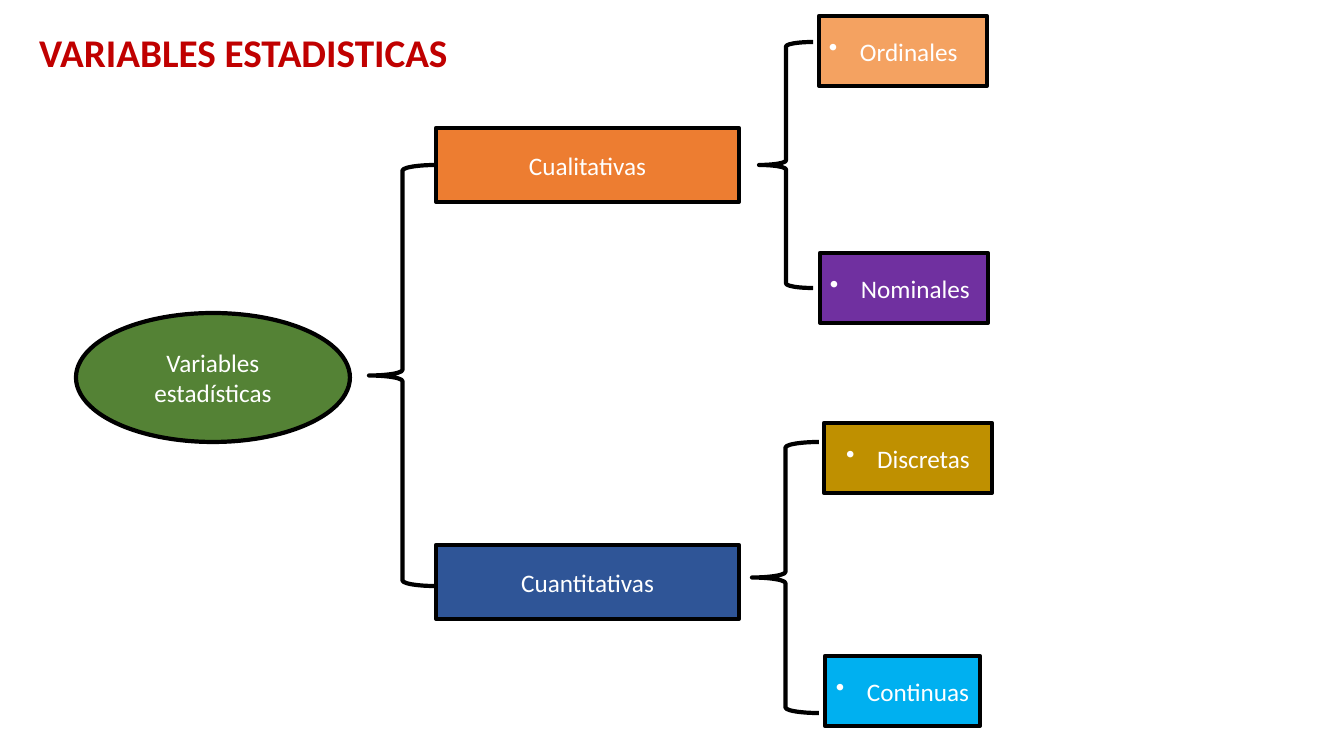
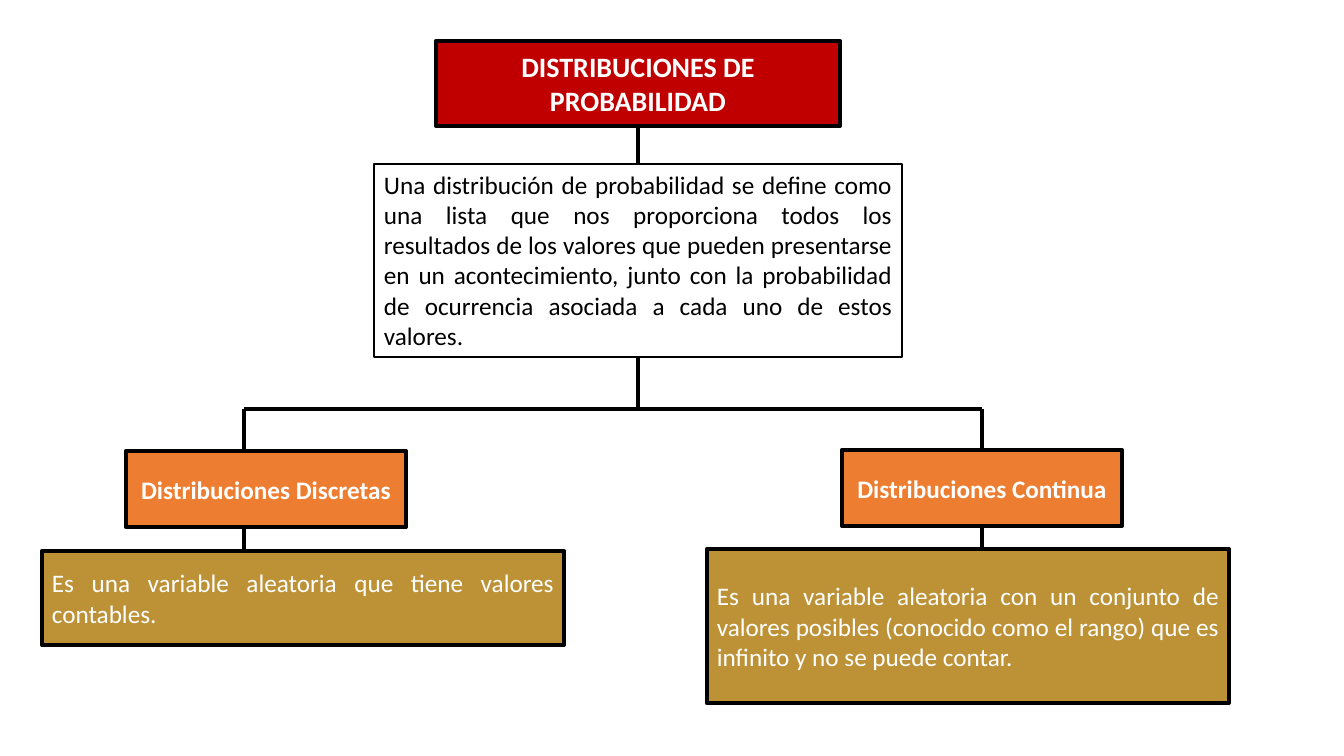
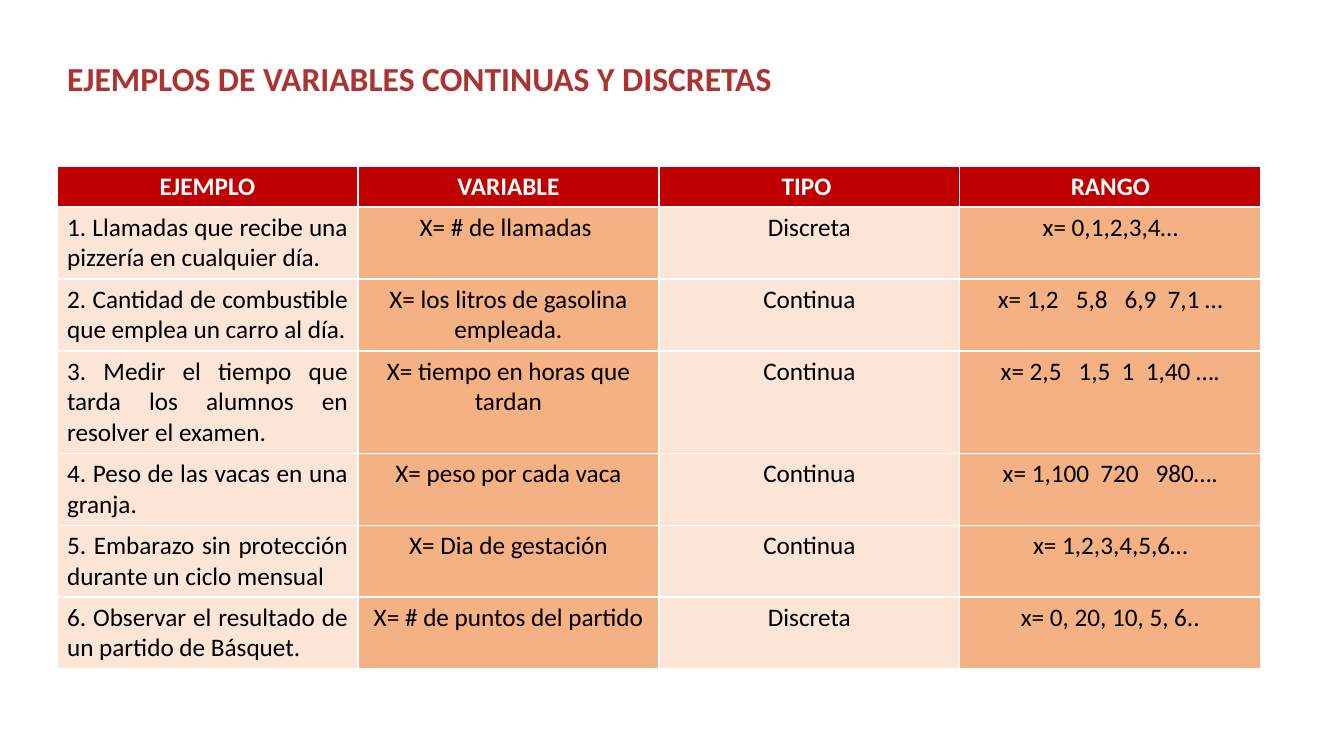
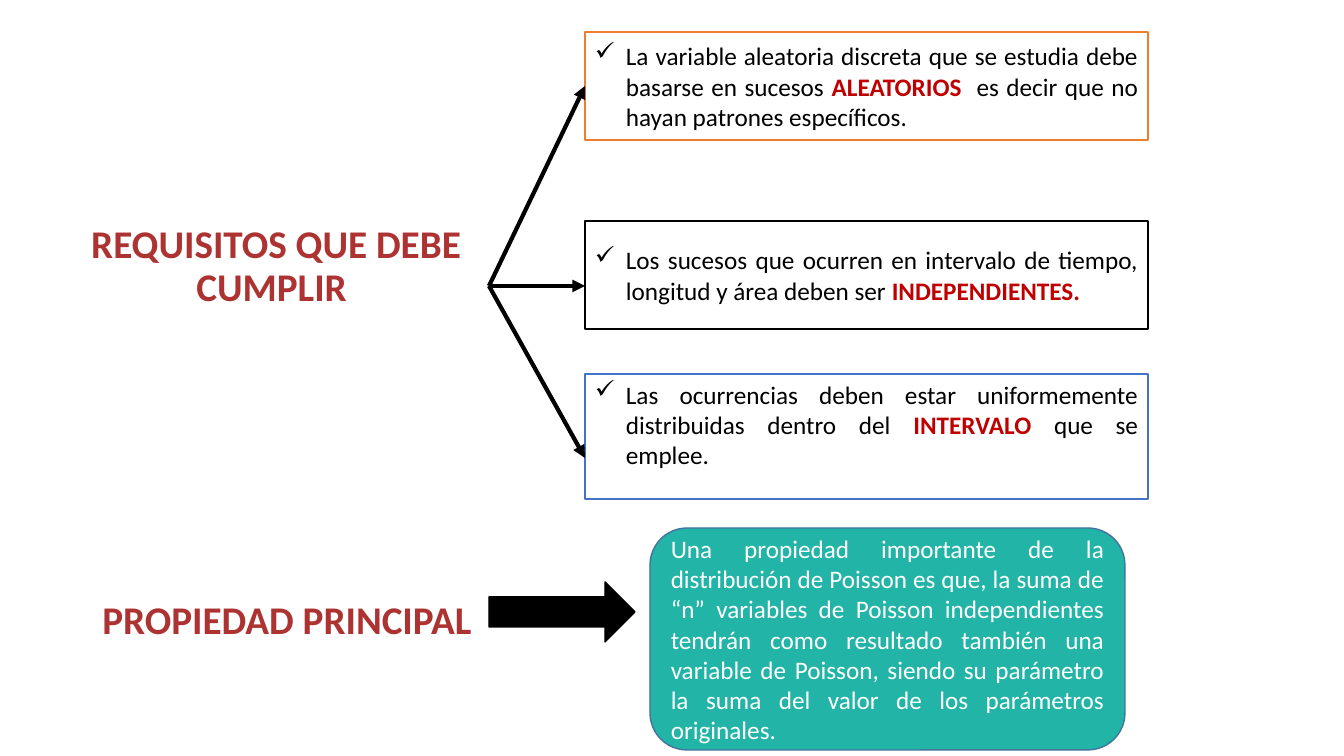
from pptx import Presentation
from pptx import util as u
from pptx.dml.color import RGBColor
from pptx.enum import shapes as kinds, text as styles
from pptx.oxml.ns import qn
from lxml import etree

SCALE = 914400 / 100.8  # EMU in one px
FONT = "Calibri"
COLOURS = {
    "white": "FFFFFF", "black": "000000", "red": "C00000", "brick": "AD3333",
    "orange": "ED7D31", "sand": "F4A261", "green": "548235", "navy": "2F5597",
    "purple": "7030A0", "gold": "BF9000", "sky": "00B0F0", "bronze": "BD9237",
    "blue": "4472C4", "steel": "43739E", "teal": "22B4A6",
    "peach": "FBE5D6", "apricot": "F4B183",
}
RGB = {name: RGBColor.from_string(value) for name, value in COLOURS.items()}
SHAPE = kinds.MSO_SHAPE
LEFT, CENTRE, JUSTIFY = (styles.PP_ALIGN.LEFT, styles.PP_ALIGN.CENTER,
                         styles.PP_ALIGN.JUSTIFY)
TOP, MIDDLE = styles.MSO_ANCHOR.TOP, styles.MSO_ANCHOR.MIDDLE
HEADING = {"anchor": TOP, "spacing": 0.9}


def add_box(page, kind, bounds, runs=(), fill=None, line=None, weight=3, size=18,
            align=CENTRE, anchor=MIDDLE, bullet=None, spacing=None):
    """Add a shape, text box or title; each run is (text, colour, bold)."""
    place = [u.Emu(round(n * SCALE)) for n in bounds]
    if kind == "title":
        box = page.shapes.title
        box.left, box.top, box.width, box.height = place
    elif kind == "text":
        box = page.shapes.add_textbox(*place)
    else:
        box = page.shapes.add_shape(kind, *place)
    box.shadow.inherit = False
    if fill:
        box.fill.solid()
        box.fill.fore_color.rgb = RGB[fill]
    else:
        box.fill.background()
    if line:
        box.line.color.rgb = RGB[line]
        box.line.width = u.Pt(weight)
    else:
        box.line.fill.background()

    frame = box.text_frame
    frame.word_wrap = True
    frame.auto_size = styles.MSO_AUTO_SIZE.NONE
    frame.vertical_anchor = anchor
    para = frame.paragraphs[0]
    para.alignment = align
    if spacing:
        para.line_spacing = spacing
    if bullet:
        props = para._p.get_or_add_pPr()
        indent = round(31 * SCALE)
        props.set("marL", str(indent))
        props.set("indent", str(-indent))
        etree.SubElement(props, qn("a:buChar")).set("char", bullet)
    for words, colour, bold in runs:
        span = para.add_run()
        span.text = words
        span.font.name, span.font.size, span.font.bold = FONT, u.Pt(size), bold
        span.font.color.rgb = RGB[colour]
    return box


def add_line(page, start, end, weight=3, arrow=False):
    ends = [u.Emu(round(n * SCALE)) for n in (*start, *end)]
    link = page.shapes.add_connector(kinds.MSO_CONNECTOR.STRAIGHT, *ends)
    link.line.color.rgb = RGB["black"]
    link.line.width = u.Pt(weight)
    props = link._element.spPr
    if arrow:
        etree.SubElement(props.find(qn("a:ln")), qn("a:tailEnd")).set("type", "triangle")
    etree.SubElement(props, qn("a:effectLst"))
    return link


deck = Presentation()
deck.slide_width = u.Emu(round(1344 * SCALE))
deck.slide_height = u.Emu(round(756 * SCALE))
title_only = deck.slide_layouts[5]

# Slide 1: tree of variable types
page = deck.slides.add_slide(title_only)
add_box(page, "title", (29, 23, 433, 57), [("VARIABLES ESTADISTICAS", "red", True)],
        size=28, align=LEFT, anchor=TOP)
add_box(page, SHAPE.OVAL, (76, 313, 274, 129),
        [("Variables estadísticas", "white", False)], "green", "black")
for name, top, fill in (("Cualitativas", 128, "orange"), ("Cuantitativas", 545, "navy")):
    add_box(page, SHAPE.RECTANGLE, (436, top, 303, 74),
            [(name, "white", False)], fill, "black")
for bounds in ((369, 165, 67, 421), (759, 42, 54, 246), (752, 442, 67, 271)):
    add_box(page, SHAPE.LEFT_BRACE, bounds, line="black")
for name, left, top, width, fill, align in (
        ("Ordinales", 819, 16, 168, "sand", LEFT),
        ("Nominales", 820, 253, 168, "purple", LEFT),
        ("Discretas", 824, 423, 168, "gold", CENTRE),
        ("Continuas", 825, 656, 155, "sky", CENTRE)):
    add_box(page, SHAPE.RECTANGLE, (left, top, width, 70), [(name, "white", False)],
            fill, "black", align=align, bullet="•")

# Slide 2: probability distributions
page = deck.slides.add_slide(title_only)
heading = add_box(page, "title", (436, 41, 404, 85),
                  [("DISTRIBUCIONES DE PROBABILIDAD", "white", True)],
                  "red", "black", size=20)
definition = add_box(
    page, SHAPE.RECTANGLE, (374, 164, 528, 193),
    [("Una distribución de probabilidad se define como una lista que nos proporciona "
      "todos los resultados de los valores que pueden presentarse en un acontecimiento, "
      "junto con la probabilidad de ocurrencia asociada a cada uno de estos valores.",
      "black", False)],
    "white", "black", weight=1, align=JUSTIFY, anchor=TOP)
link = add_line(page, (638, 126), (638, 164))
link.begin_connect(heading, 2)
link.end_connect(definition, 0)
add_line(page, (638, 357), (638, 409), weight=2.25).begin_connect(definition, 2)
add_line(page, (244, 409), (982, 409))

for name, left, top, stem, detail, bounds in (
        ("Distribuciones Discretas", 126, 451, 244,
         "Es una variable aleatoria que tiene valores contables.", (42, 551, 522, 94)),
        ("Distribuciones Continua", 842, 450, 982,
         "Es una variable aleatoria con un conjunto de valores posibles (conocido como "
         "el rango) que es infinito y no se puede contar.", (707, 549, 522, 154))):
    branch = add_box(page, SHAPE.RECTANGLE, (left, top, 280, 76),
                     [(name, "white", True)], "orange", "black")
    add_box(page, SHAPE.RECTANGLE, bounds, [(detail, "white", False)],
            "bronze", "black", align=JUSTIFY)
    upper = add_line(page, (stem, 409), (stem, top))
    lower = add_line(page, (stem, top + 76), (stem, bounds[1]))
    if stem == left + 140:
        upper.end_connect(branch, 0)
        lower.begin_connect(branch, 2)

# Slide 3: table of examples
page = deck.slides.add_slide(title_only)
add_box(page, "title", (57, 57, 1159, 109),
        [("EJEMPLOS DE VARIABLES CONTINUAS Y DISCRETAS", "brick", True)],
        size=24, align=LEFT, **HEADING)
rows = (
    ("EJEMPLO", "VARIABLE", "TIPO ", "RANGO"),
    ("1. Llamadas que recibe una pizzería en cualquier día.",
     "X= # de llamadas ", "Discreta", "x= 0,1,2,3,4…"),
    ("2. Cantidad de combustible que emplea un carro al día.",
     "X= los litros de gasolina empleada.", "Continua", "x= 1,2   5,8   6,9  7,1 …"),
    ("3. Medir el tiempo que tarda los alumnos en resolver el examen.",
     "X= tiempo en horas que tardan", "Continua", "x= 2,5   1,5  1  1,40 …."),
    ("4. Peso de las vacas en una granja.",
     "X= peso por cada vaca", "Continua", "x= 1,100  720   980…."),
    ("5. Embarazo sin protección durante un ciclo mensual",
     "X= Dia de gestación", "Continua", "x= 1,2,3,4,5,6…"),
    ("6. Observar el resultado de un partido de Básquet.",
     "X= # de puntos del partido", "Discreta", "x= 0, 20, 10, 5, 6.."),
)
heights = (41, 72, 72, 102, 72, 71, 71)
place = [u.Emu(round(n * SCALE)) for n in (57, 166, 1204, sum(heights))]
table = page.shapes.add_table(len(rows), len(rows[0]), *place).table
table.horz_banding = False
for r, row in enumerate(rows):
    table.rows[r].height = u.Emu(round(heights[r] * SCALE))
    for c, words in enumerate(row):
        cell = table.cell(r, c)
        cell.fill.solid()
        cell.fill.fore_color.rgb = RGB["red" if r == 0 else ("peach", "apricot")[c % 2]]
        para = cell.text_frame.paragraphs[0]
        para.alignment = JUSTIFY if r and c == 0 else CENTRE
        span = para.add_run()
        span.text = words
        span.font.name, span.font.size, span.font.bold = FONT, u.Pt(18), r == 0
        span.font.color.rgb = RGB["black" if r else "white"]

# Slide 4: requirements and main property
page = deck.slides.add_slide(title_only)
add_box(page, "title", (40, 220, 472, 109),
        [("REQUISITOS QUE DEBE CUMPLIR ", "brick", True)], size=28, **HEADING)
for top, height, line, anchor, target, runs in (
        (32, 108, "orange", MIDDLE, 86,
         [("La variable aleatoria discreta que se estudia debe basarse en sucesos ",
           "black", False),
          ("ALEATORIOS ", "red", True),
          (" es decir que no hayan patrones específicos.", "black", False)]),
        (221, 108, "black", MIDDLE, 286,
         [("Los sucesos que ocurren en intervalo de tiempo, longitud y área deben ser ",
           "black", False),
          ("INDEPENDIENTES.", "red", True)]),
        (374, 125, "blue", TOP, 458,
         [("Las ocurrencias deben estar uniformemente distribuidas dentro del ",
           "black", False),
          ("INTERVALO", "red", True),
          (" que se emplee.", "black", False)])):
    requirement = add_box(page, SHAPE.RECTANGLE, (585, top, 563, height), runs, "white",
                          line, weight=1, align=JUSTIFY, anchor=anchor, bullet="✓")
    arrow = add_line(page, (489, 286), (585, target), arrow=True)
    if target == top + height / 2:
        arrow.end_connect(requirement, 1)

add_box(page, "text", (51, 596, 472, 109),
        [("PROPIEDAD PRINCIPAL", "brick", True)], size=28, **HEADING)
add_box(page, SHAPE.RIGHT_ARROW, (489, 582, 146, 60), fill="black", line="black", weight=1)
add_box(page, SHAPE.ROUNDED_RECTANGLE, (650, 528, 475, 222),
        [("Una propiedad importante de la distribución de Poisson es que, la suma de “n” "
          "variables de Poisson independientes tendrán como resultado también una variable "
          "de Poisson, siendo su parámetro la suma del valor de los parámetros originales.",
          "white", False)],
        "teal", "steel", weight=1, align=JUSTIFY)

deck.save("out.pptx")
